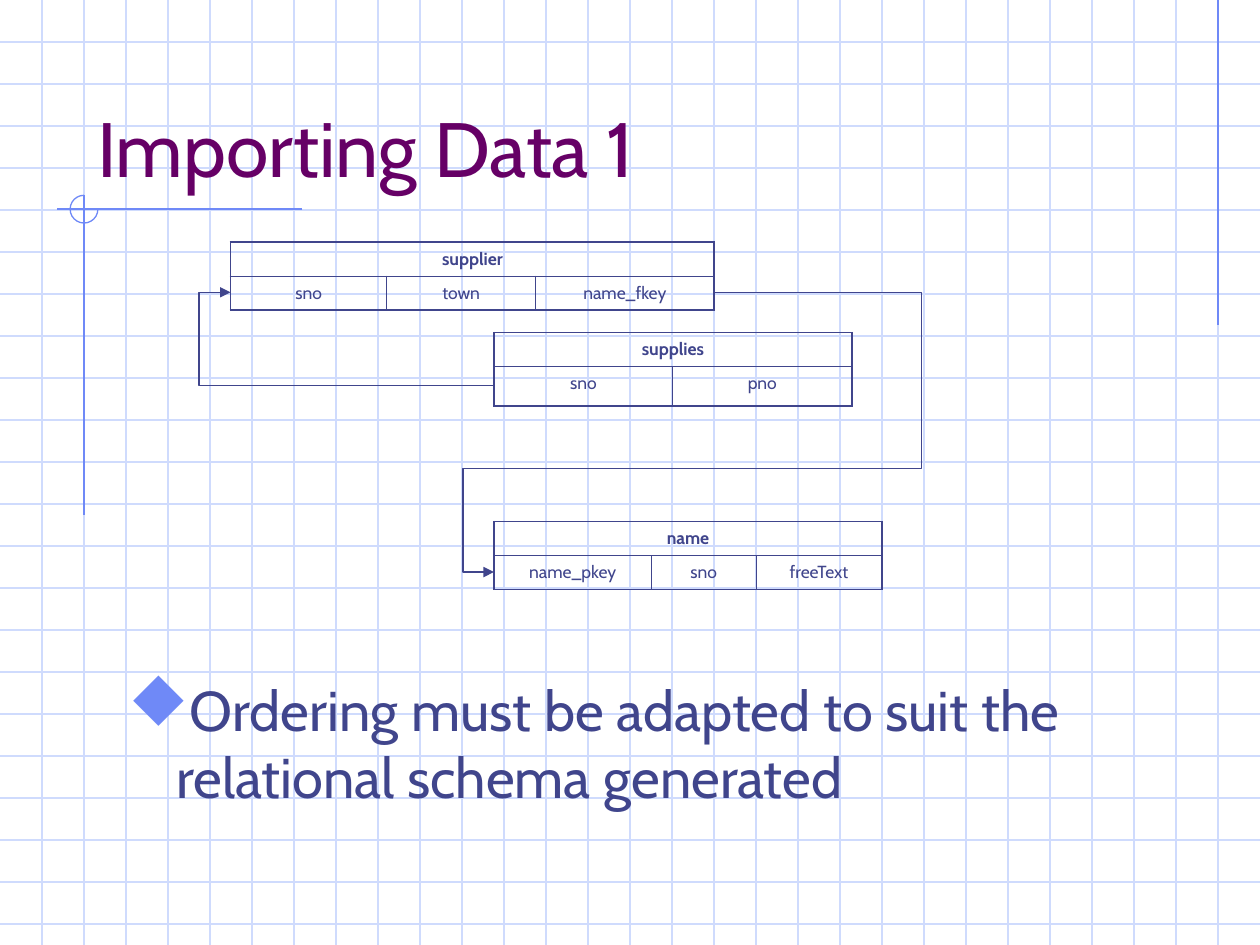
from lxml.etree import SubElement
from pptx import Presentation
from pptx.dml.color import RGBColor
from pptx.enum.shapes import MSO_CONNECTOR, MSO_SHAPE
from pptx.enum.text import MSO_ANCHOR, MSO_AUTO_SIZE, PP_ALIGN
from pptx.oxml.ns import qn
from pptx.util import Inches, Pt

COLORS = {"grid": "CFDBFD", "accent": "6F89F7", "title": "660066", "ink": "40458C"}
WIDTH, HEIGHT, GRID_STEP = 10, 7.5, 1 / 3
THIN, THICK = 0.45, 1.08
NO_STYLE = "{2D5ABB26-0587-4C30-8999-92F81FD0307C}"
TITLE_FORMAT = {"size": Pt(44), "name": "Cabin", "bold": False}
BODY_FORMAT = {"size": Pt(32), "name": "Cabin", "bold": False}
HEADER_FORMAT = {"size": Pt(10), "name": "Cabin", "bold": True}
FIELD_FORMAT = {"size": Pt(10), "name": "Cabin", "bold": False}


def set_attributes(target, values):
    """Set each named attribute of the target."""
    for name, value in values.items():
        setattr(target, name, value)


def write_text(text_frame, text, values, color, alignment):
    """Write one formatted paragraph into a text frame."""
    paragraph = text_frame.paragraphs[0]
    paragraph.alignment = alignment
    run = paragraph.add_run()
    run.text = text
    set_attributes(run.font, values)
    run.font.color.rgb = RGBColor.from_string(COLORS[color])
    return paragraph


def add_line(shapes, start, end, color, kind=MSO_CONNECTOR.STRAIGHT):
    """Draw a connector without shadow between two points in inches."""
    connector = shapes.add_connector(kind, *map(Inches, (*start, *end)))
    connector.line.color.rgb = RGBColor.from_string(COLORS[color])
    connector.line.width = Pt(0.75)
    SubElement(connector._element.spPr, qn("a:effectLst"))
    return connector


def add_grid(shapes, width, height):
    """Rule the page into squares."""
    for row in range(1, int(height / GRID_STEP) + 1):
        add_line(shapes, (0, row * GRID_STEP), (width, row * GRID_STEP), "grid")
    for column in range(1, int(width / GRID_STEP)):
        add_line(shapes, (column * GRID_STEP, 0), (column * GRID_STEP, height), "grid")


def add_accents(shapes, left, top, radius):
    """Draw the accent lines and the open circle centred where they cross."""
    add_line(shapes, (WIDTH - GRID_STEP, 0), (WIDTH - GRID_STEP, 2.58), "accent")
    add_line(shapes, (2.4, top), (0.45, top), "accent")
    add_line(shapes, (left, top - radius), (left, 4.09), "accent")
    arc = shapes.add_shape(MSO_SHAPE.ARC, Inches(left - radius), Inches(top - radius),
                           Inches(2 * radius), Inches(2 * radius))
    arc.adjustments[0] = 0
    arc.adjustments[1] = 270 * 0.6
    arc.shadow.inherit = False
    arc.fill.background()
    arc.line.color.rgb = RGBColor.from_string(COLORS["accent"])
    arc.line.width = Pt(0.75)


def add_backdrop(slide):
    """Group the grid and accents and place them on the slide's layout."""
    group = slide.shapes.add_group_shape()
    add_grid(group.shapes, WIDTH, HEIGHT)
    add_accents(group.shapes, 2 * GRID_STEP, 1.66, 0.11)
    slide.slide_layout.shapes._spTree.insert(2, group._element)


def place_title(title, box, text):
    """Move and format the title placeholder."""
    set_attributes(title, dict(zip(("left", "top", "width", "height"), map(Inches, box))))
    set_attributes(title.text_frame, {"vertical_anchor": MSO_ANCHOR.BOTTOM,
                                      "auto_size": MSO_AUTO_SIZE.NONE, "word_wrap": True})
    write_text(title.text_frame, text, TITLE_FORMAT, "title", PP_ALIGN.LEFT)


def add_bullet_text(shapes, box, text):
    """Add a text box with one diamond-bulleted paragraph."""
    text_frame = shapes.add_textbox(*map(Inches, box)).text_frame
    text_frame.word_wrap = True
    paragraph = write_text(text_frame, text, BODY_FORMAT, "ink", PP_ALIGN.LEFT)
    properties = paragraph._p.get_or_add_pPr()
    properties.set("marL", str(Inches(0.38)))
    properties.set("indent", str(-Inches(0.38)))
    bullet_color = SubElement(properties, qn("a:buClr"))
    SubElement(bullet_color, qn("a:srgbClr"), val=COLORS["accent"])
    SubElement(properties, qn("a:buSzPct"), val="110000")
    SubElement(properties, qn("a:buFont"), typeface="Wingdings", pitchFamily="2", charset="2")
    SubElement(properties, qn("a:buChar"), char="u")


def set_borders(cell, widths):
    """Give a cell its left, right, top and bottom border widths in points."""
    properties = cell._tc.get_or_add_tcPr()
    for side, width in zip("LRTB", widths):
        line = SubElement(properties, qn(f"a:ln{side}"), w=str(Pt(width)))
        fill = SubElement(line, qn("a:solidFill"))
        SubElement(fill, qn("a:srgbClr"), val=COLORS["ink"])


def add_relation(shapes, left, top, name, fields, widths, heights):
    """Add a table with the relation's name above its fields."""
    count = len(fields)
    frame = shapes.add_table(2, count, *map(Inches, (left, top, sum(widths), sum(heights))))
    table = frame.table
    set_attributes(table, {"first_row": False, "horz_banding": False})
    table._tbl.tblPr.find(qn("a:tableStyleId")).text = NO_STYLE
    for row, height in zip(table.rows, heights):
        row.height = Inches(height)
    for index, (field, width) in enumerate(zip(fields, widths)):
        table.columns[index].width = Inches(width)
        left_width = THICK if index == 0 else THIN
        right_width = THICK if index == count - 1 else THIN
        header, cell = table.cell(0, index), table.cell(1, index)
        set_borders(header, (THICK, THICK, THICK, THIN))
        set_borders(cell, (left_width, right_width, THIN, THICK))
        header.fill.background()
        cell.fill.background()
        write_text(cell.text_frame, field, FIELD_FORMAT, "ink", PP_ALIGN.CENTER)
    table.cell(0, 0).merge(table.cell(0, count - 1))
    write_text(table.cell(0, 0).text_frame, name, HEADER_FORMAT, "ink", PP_ALIGN.CENTER)


def add_reference(shapes, start, end, bends):
    """Draw an elbow arrow whose bends are fractions of its extent."""
    connector = add_line(shapes, start, end, "ink", MSO_CONNECTOR.ELBOW)
    geometry = connector._element.spPr.find(qn("a:prstGeom"))
    geometry.set("prst", f"bentConnector{len(bends) + 2}")
    guides = geometry.find(qn("a:avLst"))
    for number, bend in enumerate(bends, 1):
        SubElement(guides, qn("a:gd"), name=f"adj{number}", fmla=f"val {round(bend * 100000)}")
    SubElement(connector.line._get_or_add_ln(), qn("a:tailEnd"), type="triangle")


def add_schema(shapes):
    """Add the three relations and the references between them."""
    add_relation(shapes, 1.83, 1.92, "supplier", ("sno", "town", "name_fkey"),
                 (1.24, 1.18, 1.42), (0.27, 0.27))
    add_relation(shapes, 3.92, 2.64, "supplies", ("sno", "pno"), (1.42, 1.42), (0.27, 0.31))
    add_relation(shapes, 3.92, 4.14, "name", ("name_pkey", "sno", "freeText"),
                 (1.25, 0.83, 1), (0.27, 0.27))
    add_reference(shapes, (3.92, 3.06), (1.83, 2.32), (1.12,))
    add_reference(shapes, (5.67, 2.32), (3.92, 4.54), (-0.94, 0.63, 1.14))


def main():
    """Build and save the slide."""
    presentation = Presentation()
    presentation.slide_width, presentation.slide_height = Inches(WIDTH), Inches(HEIGHT)
    slide = presentation.slides.add_slide(presentation.slide_layouts[5])
    add_backdrop(slide)
    place_title(slide.shapes.title, (0.67, 0.33, 8.5, 1.25), "Importing Data 1")
    add_bullet_text(slide.shapes, (0.92, 5.31, 8.5, 1.25),
                    "Ordering must be adapted to suit the relational schema generated")
    add_schema(slide.shapes)
    presentation.save("out.pptx")


if __name__ == "__main__":
    main()
